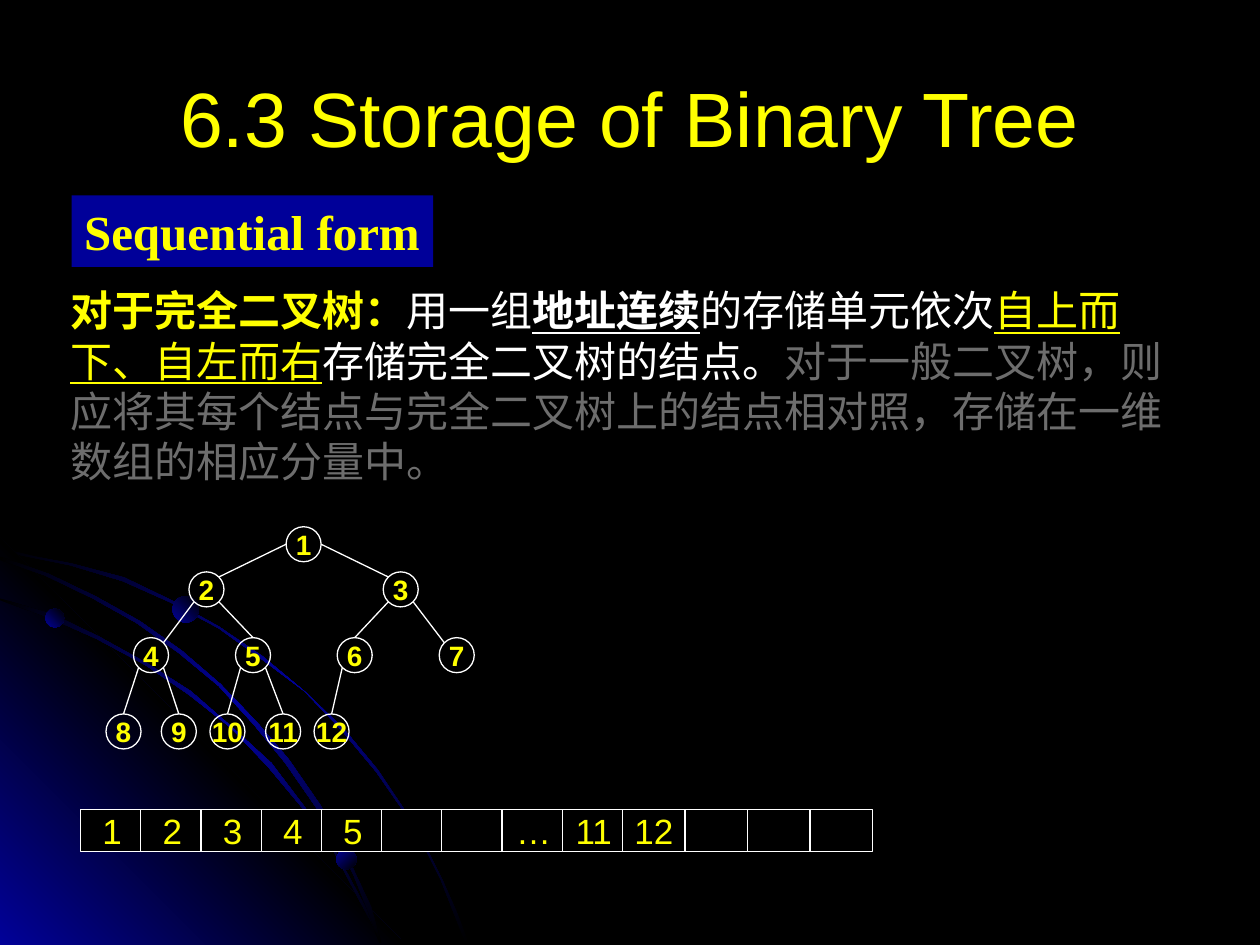
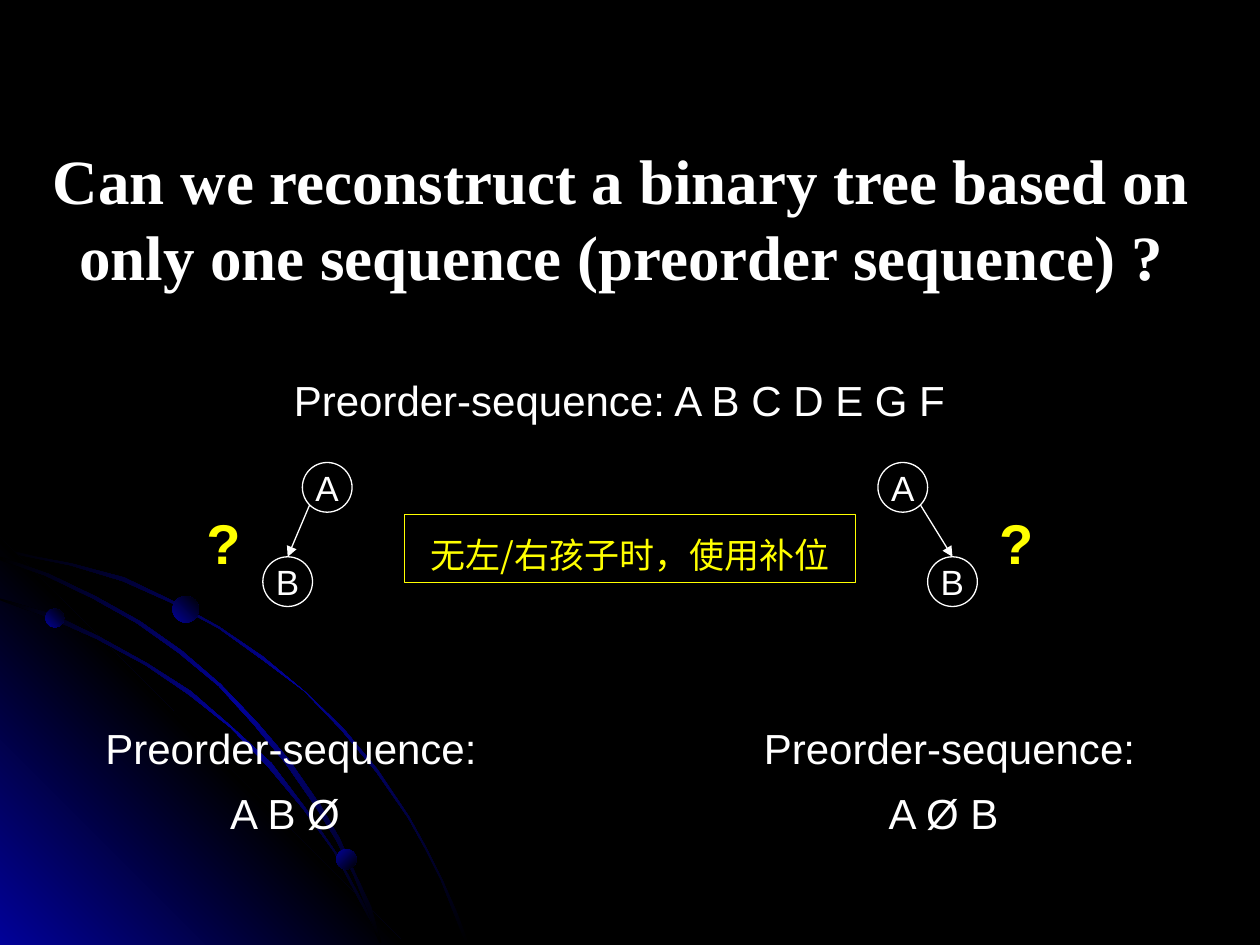
from lxml import etree
from pptx import Presentation
from pptx import util as u
from pptx.dml import color
from pptx.enum import shapes, text
from pptx.oxml import ns, parse_xml

Pt = u.Pt
rgb = color.RGBColor.from_string
CENTER, LEFT = text.PP_ALIGN.CENTER, text.PP_ALIGN.LEFT
MIDDLE, TOP = text.MSO_ANCHOR.MIDDLE, text.MSO_ANCHOR.TOP
OVAL, RECT = shapes.MSO_SHAPE.OVAL, shapes.MSO_SHAPE.RECTANGLE

BLACK, WHITE, YELLOW, GREY = "000000", "FFFFFF", "FFFF00", "6D6D6D"
NAVY, GLOW = "000099", "010199"
SERIF, SANS, HAN = "Times New Roman", "Arial", "Noto Sans CJK SC"

# Points on a circle where edges may start or end
SITES = {"top": (0, -1), "left": (-1, 0), "right": (1, 0),
         "top left": (-0.71, -0.71), "top right": (0.71, -0.71),
         "bottom left": (-0.71, 0.71), "bottom right": (0.71, 0.71)}


def add_box(slide, kind, frame, paragraphs=(), fill=None, line=None,
            align=CENTER, anchor=TOP, wrap=True, spacing=None):
    """Add a shape, or a text box if kind is None; a paragraph is a list of (text, format)."""
    frame = [Pt(v) for v in frame]
    if kind is None:
        box = slide.shapes.add_textbox(*frame)
    else:
        box = slide.shapes.add_shape(kind, *frame)
        box.shadow.inherit = False
    if fill:
        box.fill.solid()
        box.fill.fore_color.rgb = rgb(fill)
    else:
        box.fill.background()
    if line:
        box.line.color.rgb = rgb(line)
        box.line.width = Pt(0.75)
    else:
        box.line.fill.background()
    body = box.text_frame
    body.word_wrap, body.vertical_anchor = wrap, anchor
    for i, runs in enumerate(paragraphs):
        paragraph = body.add_paragraph() if i else body.paragraphs[0]
        paragraph.alignment = align
        if spacing:
            paragraph.line_spacing = spacing
        for words, look in runs:
            run = paragraph.add_run()
            run.text = words
            for key, value in look.items():
                if key == "color":
                    run.font.color.rgb = rgb(value)
                else:
                    setattr(run.font, key, value)
    return box


def add_edge(slide, parent, parent_site, child, child_site, radius, arrow=False):
    """Join two circles, given by their centres, at named sites."""
    ends = [Pt(c + radius * d)
            for centre, site in ((parent, parent_site), (child, child_site))
            for c, d in zip(centre, SITES[site])]
    edge = slide.shapes.add_connector(shapes.MSO_CONNECTOR.STRAIGHT, *ends)
    edge.line.color.rgb = rgb(WHITE)
    edge.line.width = Pt(0.75)
    if arrow:
        etree.SubElement(edge.line._get_or_add_ln(), ns.qn("a:tailEnd"), type="triangle")
    etree.SubElement(edge._element.spPr, ns.qn("a:effectLst"))


prs = Presentation()
prs.slide_width, prs.slide_height = Pt(720), Pt(540)
backdrop = prs.slide_master.background.fill
backdrop.solid()
backdrop.fore_color.rgb = rgb(BLACK)
storage, rebuild = [prs.slides.add_slide(prs.slide_layouts[6]) for _ in range(2)]

# Shared corner decoration: outlines and orbiting dots, each with its gradient
arc_stops = [(0, BLACK), (50, GLOW), (100, BLACK)]
corner_stops = [(0, GLOW), (50, BLACK), (100, GLOW)]
dot_stops = [(0, GLOW), (100, BLACK)]
outer_arc = [
    (0, 313.2), (20.2, 317.5), (41, 321.8), (70.6, 330.5), (97.9, 343.4), (125.3, 357.8),
    (150.5, 375.1), (174.2, 394.6), (195.8, 416.2), (216, 439.9), (234, 466.6),
    (244.1, 484.6), (253.4, 502.6), (260.6, 520.6), (267.8, 539.3), (266.4, 539.3),
    (259.2, 520.6), (252, 502.6), (242.6, 484.6), (232.6, 467.3), (214.6, 440.6),
    (195.1, 416.9), (173.5, 395.3), (149.8, 376.6), (124.6, 359.3), (97.2, 344.2),
    (69.8, 331.9), (40.3, 323.3), (20.2, 319), (0, 315.4)]
inner_arc = [
    (0, 342), (29.5, 351.4), (56.9, 363.6), (84.2, 378.7), (109.4, 395.3), (132.5, 414.7),
    (154.8, 436.3), (174.2, 460.8), (191.5, 486.7), (205.9, 512.6), (213.1, 525.6),
    (218.2, 539.3), (216.7, 539.3), (211.7, 527), (205.2, 514.1), (190.8, 487.4),
    (172.8, 461.5), (153.4, 437.8), (131.8, 416.2), (108, 396.7), (82.8, 380.2),
    (55.4, 365), (28.1, 352.8), (0, 343.4)]
middle_arc = [
    (0, 318.2), (28.1, 327.6), (54.7, 340.6), (79.9, 355), (103.7, 371.5), (126, 391),
    (146.9, 412.6), (164.9, 434.2), (182.9, 460.1), (193.7, 478.8), (203, 499),
    (211.7, 518.4), (218.2, 539.3), (216.7, 539.3), (210.2, 519.8), (201.6, 499.7),
    (192.2, 480.2), (181.4, 461.5), (163.4, 435.6), (145.4, 414), (124.6, 391.7),
    (102.2, 373), (78.5, 355.7), (53.3, 342), (25.9, 329), (0, 319.7)]
corner = [(0, 307.4), (231.8, 539.5), (0, 539.5)]
outlines = [(outer_arc, arc_stops, 45), (corner, corner_stops, 315),
            (inner_arc, arc_stops, 45), (middle_arc, arc_stops, 45)]
dots = [((25.9, 347.8, 10.8, 10.8), 315), ((192.2, 485.3, 11.5, 11.5), 45),
        ((98.6, 340.6, 15.1, 15.1), 315)]

for slide in (storage, rebuild):
    glowing = []
    for points, stops, angle in outlines:
        pen = slide.shapes.build_freeform(*points[0], scale=Pt(1))
        pen.add_line_segments(points[1:], close=True)
        outline = pen.convert_to_shape()
        outline.shadow.inherit = False
        outline.line.fill.background()
        outline.fill.background()
        glowing.append((outline, stops, angle))
    for frame, angle in dots:
        glowing.append((add_box(slide, OVAL, frame), dot_stops, angle))
    for part, stops, angle in glowing:
        colours = "".join(f'<a:gs pos="{pos * 1000}"><a:srgbClr val="{hue}"/></a:gs>'
                          for pos, hue in stops)
        no_fill = part._element.spPr.find(ns.qn("a:noFill"))
        no_fill.getparent().replace(no_fill, parse_xml(
            f'<a:gradFill {ns.nsdecls("a")} rotWithShape="1"><a:gsLst>{colours}</a:gsLst>'
            f'<a:lin ang="{angle * 60000}" scaled="0"/></a:gradFill>'))

# Slide 1: explanation, title and heading
plain = dict(size=Pt(24), name=SERIF, color=WHITE)
explanation = [
    ("对于完全二叉树：", plain | dict(color=YELLOW, bold=True)),
    ("用一组", plain),
    ("地址连续", plain | dict(bold=True, underline=True)),
    ("的存储单元依次", plain),
    ("自上而下、自左而右", plain | dict(name=HAN, color=YELLOW, underline=True)),
    ("存储完全二叉树的结点。", plain),
    ("对于一般二叉树，则应将其每个结点与完全二叉树上的结点相对照，存储在一维数组的相应分量中。",
     plain | dict(color=GREY))]
passage = add_box(storage, None, (33.1, 159.1, 661.7, 123.8), [explanation], align=LEFT)
passage.text_frame.margin_right = Pt(11)
# Punctuation wraps with its word and does not hang in the margin
passage.text_frame.paragraphs[0]._p.get_or_add_pPr().set("hangingPunct", "0")
title_look = dict(size=Pt(44), name=SANS, color=YELLOW)
add_box(storage, None, (36, 21.6, 648, 90),
        [[("6.3 Storage of Binary Tree", title_look)]], anchor=MIDDLE)
heading_look = dict(size=Pt(28), name=SERIF, color=YELLOW, bold=True)
add_box(storage, RECT, (41, 111.6, 206.6, 41), [[("Sequential form", heading_look)]],
        fill=NAVY, align=LEFT, wrap=False)

# Complete binary tree: node n hangs under node n // 2
levels = [(311, [173.5]), (336.8, [118, 229]), (374.4, [86.3, 144.6, 202.7, 261]),
          (418, [70.6, 102.2, 130, 161.8, 189.5])]
nodes = [(x, y) for y, row in levels for x in row]
node_radius = 10
node_look = dict(size=Pt(16), name=SANS, color=YELLOW, bold=True)
for number, (x, y) in enumerate(nodes, 1):
    add_box(storage, OVAL, (x - node_radius, y - node_radius, 2 * node_radius, 2 * node_radius),
            [[(str(number), node_look)]], line=WHITE, anchor=MIDDLE, wrap=False)
child_sites = {2: "top right", 3: "top left", 4: "top right", 7: "top left"}
for number in range(2, len(nodes) + 1):
    side = "right" if number % 2 else "left"
    parent_site = side if number < 4 else f"bottom {side}"
    add_edge(storage, nodes[number // 2 - 1], parent_site,
             nodes[number - 1], child_sites.get(number, "top"), node_radius)

# Array that stores the nodes; the last three cells are a little wider apart
cell_look = dict(size=Pt(20), name=SANS, color=YELLOW)
cells = ["1", "2", "3", "4", "5", "", "", "…", "11", "12", "", "", ""]
for i, label in enumerate(cells):
    left = 46.1 + 34.4 * i + 1.3 * max(0, i - 9)
    add_box(storage, RECT, (left, 462.6, 36, 24), [[(label, cell_look)]] if label else (),
            fill=BLACK, line=WHITE, anchor=MIDDLE, wrap=False)

# Slide 2: question and sequence
question_look = dict(size=Pt(36), name=SERIF, color=WHITE, bold=True)
add_box(rebuild, None, (19.8, 77.3, 670.3, 94.3), [[(
    "Can we reconstruct a binary tree based on only one sequence (preorder sequence) ?",
    question_look)]])
sequence_look = dict(size=Pt(24), name=SANS, color=WHITE)
add_box(rebuild, None, (31.9, 202, 650.9, 44.6),
        [[("Preorder-sequence: A B C D E G F ", sequence_look)]], spacing=1.3)

# Two candidate trees, each with its question mark and padded sequence
letter_look = dict(size=Pt(20), name=SANS, color=WHITE)
mark_look = dict(size=Pt(32), name=SANS, color=YELLOW, bold=True)
letter_radius = 14.2
candidates = [(187, 164.4, "bottom left", 110.9, 25.2, "A B Ø "),
              (515.9, 544.3, "bottom right", 563.8, 401.5, "A Ø B ")]
for root_x, child_x, site, mark_left, caption_left, sequence in candidates:
    root, child = (root_x, 278.5), (child_x, 332.4)
    for letter, (x, y) in (("A", root), ("B", child)):
        add_box(rebuild, OVAL, (x - letter_radius, y - letter_radius,
                                2 * letter_radius, 2 * letter_radius),
                [[(letter, letter_look)]], line=WHITE, anchor=MIDDLE, wrap=False)
    add_edge(rebuild, root, site, child, "top", letter_radius, arrow=True)
    add_box(rebuild, None, (mark_left, 287.3, 33.8, 46.1), [[("?", mark_look)]])
    caption = add_box(rebuild, None, (caption_left, 400.6, 288.7, 82.8),
                      [[("Preorder-sequence: ", sequence_look)], [(sequence, sequence_look)]],
                      spacing=1.3)
    # The second line sits slightly left of centre
    caption.text_frame.paragraphs[1]._p.get_or_add_pPr().set("marR", str(Pt(6.7)))

# Padding rule
rule_look = dict(size=Pt(20), name=HAN, color=YELLOW)
add_box(rebuild, RECT, (231.1, 294.2, 257.8, 38.9),
        [[("无左/右孩子时，使用补位", rule_look)]], line=YELLOW, spacing=1.3)

prs.save("out.pptx")
